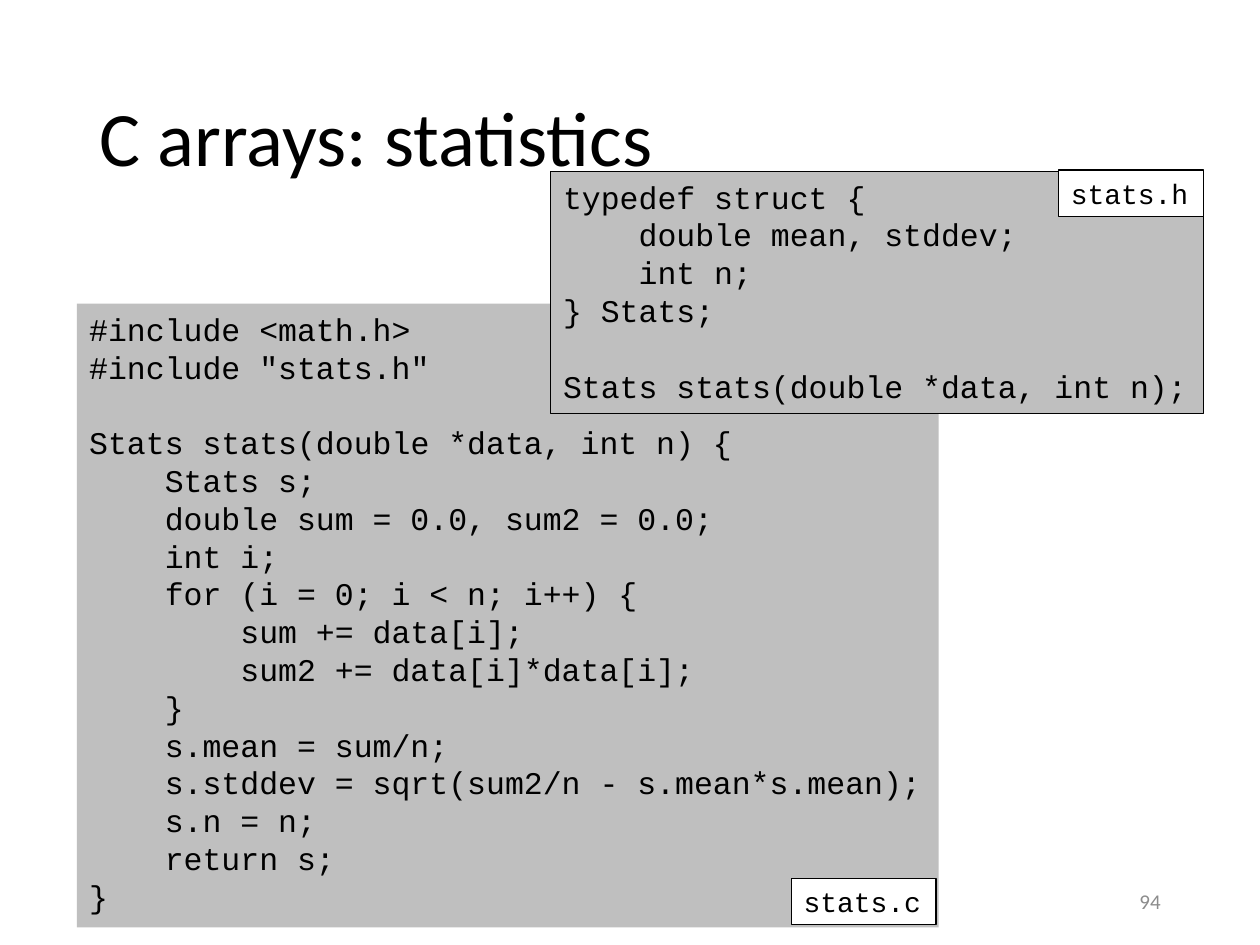
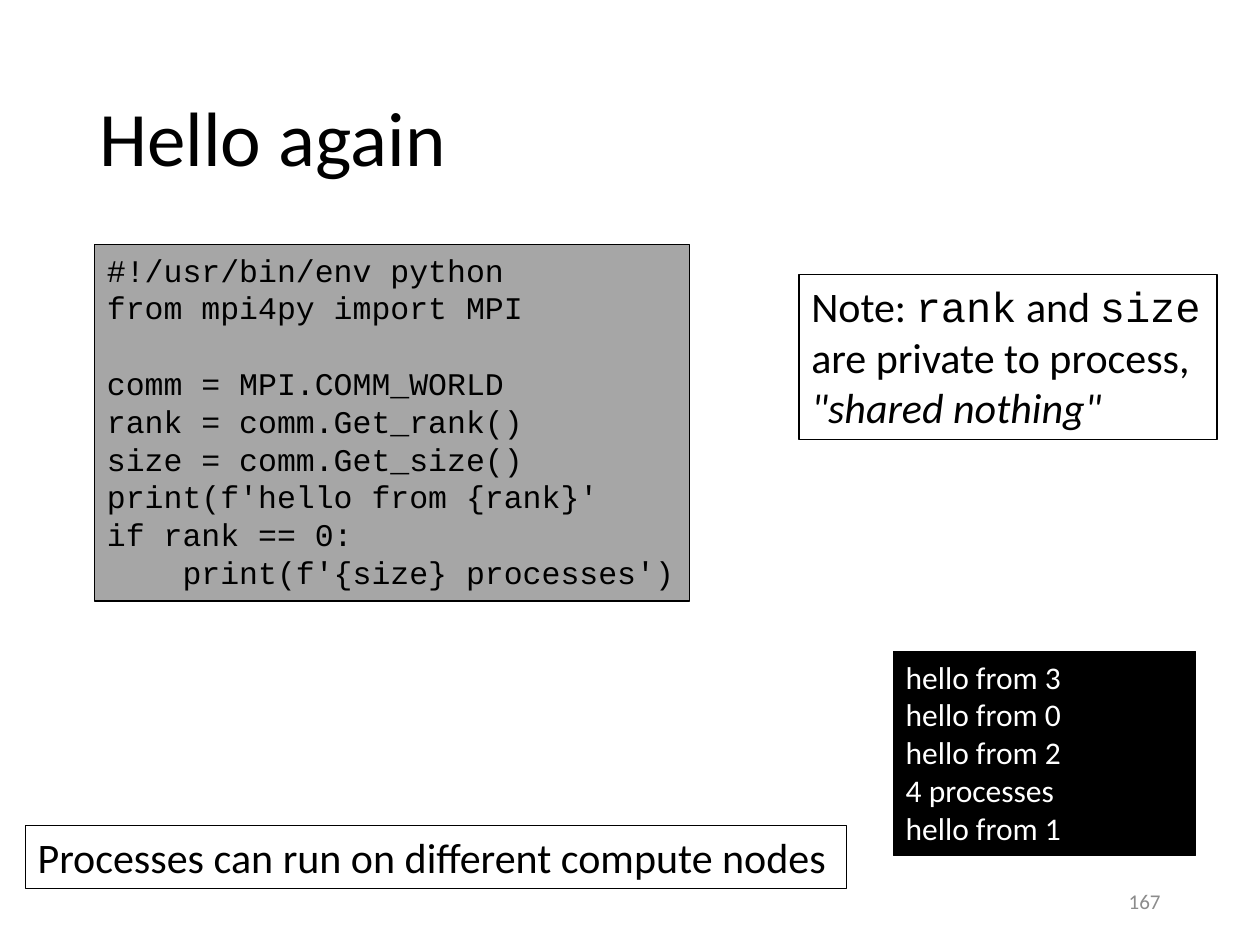
from pptx import Presentation
from pptx.dml.color import RGBColor
from pptx.enum.shapes import MSO_SHAPE
from pptx.enum.text import MSO_ANCHOR, PP_ALIGN
from pptx.util import Inches, Pt

RECTANGLE = MSO_SHAPE.RECTANGLE
MIDDLE, TOP = MSO_ANCHOR.MIDDLE, MSO_ANCHOR.TOP
LEFT, RIGHT = PP_ALIGN.LEFT, PP_ALIGN.RIGHT

BLACK = RGBColor(0x00, 0x00, 0x00)
WHITE = RGBColor(0xFF, 0xFF, 0xFF)
LIGHT_GRAY = RGBColor(0xBF, 0xBF, 0xBF)
MID_GRAY = RGBColor(0xA6, 0xA6, 0xA6)
NUMBER_GRAY = RGBColor(0x8C, 0x8C, 0x8C)
BODY_FONT, CODE_FONT = "Calibri", "Courier New"
CODE_SIZE, TAG_SIZE, NOTE_SIZE = 18, 16, 24
CODE_LINE = Pt(21.6)
CODE_CHAR = Pt(0.6 * CODE_SIZE)

deck = Presentation()
deck.slide_width, deck.slide_height = Inches(10), Inches(7.5)
CELL = deck.slide_width / 100
BLANK = deck.slide_layouts[6]

TITLE_AT = (6.9, 4, 86.2, 14.5)
NUMBER_AT = (70.6, 69.5, 22.5, 4)
TAG_WIDTH, TAG_HEIGHT = 11.5, 3.7

STATS_C = """\
#include <math.h>
#include "stats.h"

Stats stats(double *data, int n) {
    Stats s;
    double sum = 0.0, sum2 = 0.0;
    int i;
    for (i = 0; i < n; i++) {
        sum += data[i];
        sum2 += data[i]*data[i];
    }
    s.mean = sum/n;
    s.stddev = sqrt(sum2/n - s.mean*s.mean);
    s.n = n;
    return s;
}"""

STATS_H = """\
typedef struct {
    double mean, stddev;
    int n;
} Stats;

Stats stats(double *data, int n);"""

HELLO_PY = """\
#!/usr/bin/env python
from mpi4py import MPI

comm = MPI.COMM_WORLD
rank = comm.Get_rank()
size = comm.Get_size()
print(f'hello from {rank}'
if rank == 0:
    print(f'{size} processes')"""


def add_panel(shapes, at, fill=None, outlined=True):
    panel = shapes.add_shape(RECTANGLE, *(round(n * CELL) for n in at))
    panel.shadow.inherit = False
    if fill is None:
        panel.fill.background()
    else:
        panel.fill.solid()
        panel.fill.fore_color.rgb = fill
    if outlined:
        panel.line.color.rgb = BLACK
        panel.line.width = Pt(0.75)
    else:
        panel.line.fill.background()
    return panel.text_frame


def write(frame, text, size, font=BODY_FONT, color=BLACK, align=LEFT, anchor=TOP):
    frame.word_wrap = True
    frame.vertical_anchor = anchor
    after_gap = False
    paragraph = None
    for line in text.splitlines():
        words = line.lstrip()
        if not words:
            after_gap = True
            continue
        paragraph = frame.add_paragraph() if paragraph else frame.paragraphs[0]
        paragraph.alignment = align
        if font == CODE_FONT and size == CODE_SIZE:
            paragraph.line_spacing = CODE_LINE
            indent = (len(line) - len(words)) * CODE_CHAR
            properties = paragraph._p.get_or_add_pPr()
            properties.set("marL", str(indent))
            properties.set("indent", "0")
        if after_gap:
            paragraph.space_before = CODE_LINE
            after_gap = False
        run = paragraph.add_run()
        run.text = words
        run.font.size, run.font.name = Pt(size), font
        run.font.color.rgb = color
    return paragraph


slides = []
for title, number in (("C arrays: statistics", "94"), ("Hello again", "167")):
    slide = deck.slides.add_slide(BLANK)
    slides.append(slide)
    for text, at, size, color, align in (
        (title, TITLE_AT, 44, BLACK, LEFT),
        (number, NUMBER_AT, 12, NUMBER_GRAY, RIGHT),
    ):
        frame = slide.shapes.add_textbox(*(round(n * CELL) for n in at)).text_frame
        line = write(frame, text, size, color=color, align=align, anchor=MIDDLE)
        if text == title:
            line.line_spacing = 0.9

statistics, hello = slides

for code, code_at, outlined, file_name, tag_corner in (
    (STATS_C, (6.1, 24.1, 68.4, 49.5), False, "stats.c", (62.8, 69.7)),
    (STATS_H, (43.7, 13.6, 51.8, 19.2), True, "stats.h", (84, 13.5)),
):
    listing = statistics.shapes.add_group_shape().shapes
    write(add_panel(listing, code_at, LIGHT_GRAY, outlined), code, CODE_SIZE, CODE_FONT)
    tag = add_panel(listing, (*tag_corner, TAG_WIDTH, TAG_HEIGHT), WHITE)
    write(tag, file_name, TAG_SIZE, CODE_FONT)

script = add_panel(hello.shapes, (7.5, 19.4, 47.2, 28.3), MID_GRAY)
write(script, HELLO_PY, CODE_SIZE, CODE_FONT)

output = add_panel(hello.shapes, (70.9, 51.7, 24, 16.2), BLACK)
write(output, "hello from 3\nhello from 0\nhello from 2\n4 processes\nhello from 1",
      CODE_SIZE, color=WHITE)

privacy = add_panel(hello.shapes, (63.4, 21.8, 33.2, 13.1), WHITE)
note = write(privacy, "Note: ", NOTE_SIZE)
note.runs[0].text = "Note: "
for words, font, italic, breaks in (
    ("rank", CODE_FONT, False, False),
    (" and ", BODY_FONT, False, False),
    ("size", CODE_FONT, False, True),
    ("are private to process,", BODY_FONT, False, True),
    ('"shared nothing"', BODY_FONT, True, False),
):
    run = note.add_run()
    run.text = words
    run.font.size, run.font.name = Pt(NOTE_SIZE), font
    run.font.italic = italic
    run.font.color.rgb = BLACK
    if breaks:
        note.add_line_break()

nodes = add_panel(hello.shapes, (2, 65.5, 65.2, 5))
write(nodes, "Processes can run on different compute nodes", NOTE_SIZE)

deck.save("out.pptx")
